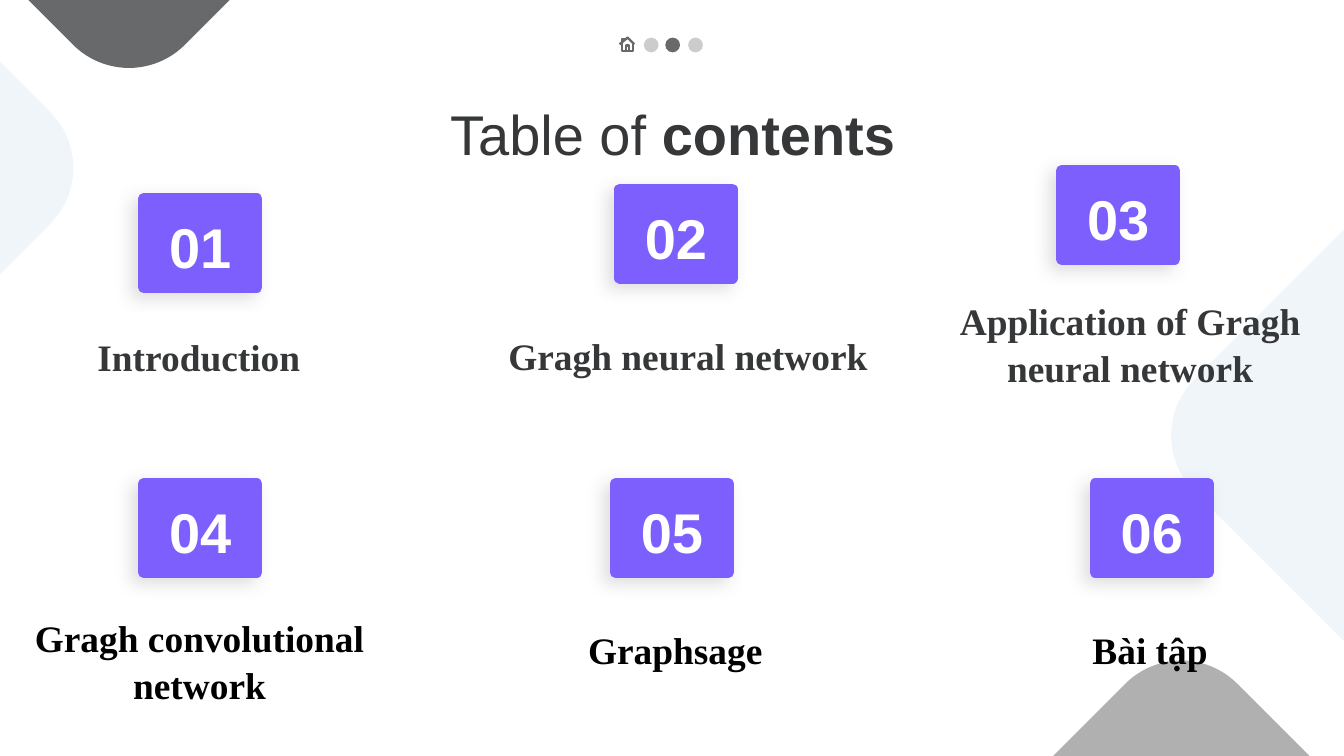
import pptx
import pptx.dml.color
import pptx.enum.shapes
import pptx.enum.text
import pptx.oxml
import pptx.util
from pptx.util import Inches

SHAPE = pptx.enum.shapes.MSO_SHAPE
ANCHOR = pptx.enum.text.MSO_ANCHOR
ALIGN = pptx.enum.text.PP_ALIGN
NS = "http://schemas.openxmlformats.org/drawingml/2006/main"

PURPLE, DARK, GRAY, PALE = "7D5FFE", "67696B", "B0B0B0", "F0F5FA"
INK, BLACK, WHITE = "353738", "000000", "FFFFFF"


def rgb(value):
    return pptx.dml.color.RGBColor.from_string(value)


class Deck:
    """Holds the style and the current slide."""

    heading_font, label_font = "Arial", "Times New Roman"
    heading_size, label_size = 30, 20

    def __init__(self):
        self.prs = pptx.Presentation()
        self.prs.slide_width = Inches(10)
        self.prs.slide_height = Inches(10 * 9 / 16)
        self.s = self.prs.slides.add_slide(self.prs.slide_layouts[6])
        self.s.background.fill.solid()
        self.s.background.fill.fore_color.rgb = rgb(WHITE)

    def append_xml(self, sp, tag_route, xml):
        """Add a DrawingML element below a part of the shape's properties."""
        steps = "/".join(f"{{{NS}}}{tag}" for tag in tag_route.split())
        sp.element.spPr.find(steps).append(pptx.oxml.parse_xml(xml))

    def shape(self, kind, x, y, w, h, color, alpha=None):
        sp = self.s.shapes.add_shape(kind, *map(Inches, (x, y, w, h)))
        sp.shadow.inherit = False
        sp.fill.solid()
        sp.fill.fore_color.rgb = rgb(color)
        sp.line.fill.background()
        if alpha:
            self.append_xml(sp, "solidFill srgbClr",
                            f'<a:alpha xmlns:a="{NS}" val="{alpha * 1000}"/>')
        return sp

    def diamond(self, x, y, color):
        sp = self.shape(SHAPE.ROUNDED_RECTANGLE, x, y, 3.52, 3.52, color)
        sp.adjustments[0] = 0.167
        sp.rotation = 315

    def set_text(self, sp, runs, font, size, color, align, anchor, inset, spacing):
        """Fill a shape with one paragraph; runs are (text, bold) pairs."""
        tf = sp.text_frame
        tf.word_wrap = True
        tf.vertical_anchor = anchor
        tf.margin_left = tf.margin_right = Inches(0.1)
        tf.margin_top = tf.margin_bottom = Inches(inset)
        p = tf.paragraphs[0]
        p.alignment = align
        p.line_spacing = spacing
        for text, bold in runs:
            r = p.add_run()
            r.text = text
            r.font.name, r.font.size = font, pptx.util.Pt(size)
            r.font.bold = bold
            r.font.color.rgb = rgb(color)

    def box(self, x, y, w, h):
        return self.s.shapes.add_textbox(*map(Inches, (x, y, w, h)))

    def title(self, runs, x, y, w, h):
        self.set_text(self.box(x, y, w, h), runs, self.heading_font, self.heading_size,
                      INK, ALIGN.CENTER, ANCHOR.TOP, 0.1, 1.1)

    def number(self, text, x, y):
        sp = self.shape(SHAPE.RECTANGLE, x, y, 0.84, 0.66, PURPLE)
        sp.line.color.rgb = rgb(PURPLE)
        sp.line.width = pptx.util.Pt(6)
        self.append_xml(sp, "ln", f'<a:round xmlns:a="{NS}"/>')
        # Soft shadow towards the lower left
        self.append_xml(
            sp, "effectLst",
            f'<a:outerShdw xmlns:a="{NS}" blurRad="{pptx.util.Pt(9)}" dist="{pptx.util.Pt(4.5)}" '
            f'dir="{140 * 60000}" algn="bl" rotWithShape="0">'
            f'<a:srgbClr val="{GRAY}"><a:alpha val="40000"/></a:srgbClr></a:outerShdw>')
        self.set_text(sp, [(text, True)], self.heading_font, self.heading_size,
                      WHITE, ALIGN.CENTER, ANCHOR.MIDDLE, 0.1, 1.1)

    def label(self, text, x, y, w, h, color=INK, align=ALIGN.CENTER,
              anchor=ANCHOR.BOTTOM, inset=0.1):
        self.set_text(self.box(x, y, w, h), [(text, True)], self.label_font,
                      self.label_size, color, align, anchor, inset, 1.05)

    def outline(self, strokes, color, width):
        """Draw open strokes, each a list of points in inches, as one shape."""
        strokes = [[(Inches(x), Inches(y)) for x, y in points] for points in strokes]
        fb = self.s.shapes.build_freeform(*strokes[0][0])
        for i, (start, *rest) in enumerate(strokes):
            if i:
                fb.move_to(*start)
            fb.add_line_segments(rest, close=False)
        sp = fb.convert_to_shape()
        sp.shadow.inherit = False
        sp.fill.background()
        sp.line.color.rgb = rgb(color)
        sp.line.width = pptx.util.Pt(width)


def main():
    deck = Deck()

    # Background corners
    for x, y, color in [(-0.8, -3.5, DARK), (9.2, 1.48, PALE),
                        (-3.46, -0.51, PALE), (7.03, 5.4, GRAY)]:
        deck.diamond(x, y, color)

    # Title
    deck.title([("Table of ", False), ("contents", True)], 0.79, 0.59, 8.43, 0.69)

    # Navigation: home icon and page dots
    roof = [(4.61, 0.33), (4.67, 0.28), (4.72, 0.33)]
    walls = [(4.63, 0.32), (4.63, 0.38), (4.71, 0.38), (4.71, 0.32)]
    door = [(4.66, 0.38), (4.66, 0.34), (4.68, 0.34), (4.68, 0.38)]
    chimney = [(4.63, 0.31), (4.63, 0.29), (4.65, 0.29)]
    deck.outline([roof, walls, door, chimney], DARK, 1.25)
    for x, color, alpha in [(4.79, GRAY, 64), (4.95, DARK, None), (5.12, GRAY, 64)]:
        deck.shape(SHAPE.OVAL, x, 0.28, 0.11, 0.11, color, alpha)

    # Numbers
    corners = [(1.07, 1.48), (4.61, 1.41), (7.9, 1.27),
               (1.07, 3.6), (4.58, 3.6), (8.15, 3.6)]
    for i, (x, y) in enumerate(corners, 1):
        deck.number(f"{i:02}", x, y)

    # Upper row labels
    for text, x, y in [("Introduction", -0.22, 2.38),
                       ("Gragh neural network", 3.42, 2.37),
                       ("Application of Gragh neural network", 6.71, 2.46)]:
        deck.label(text, x, y, 3.4, 0.54)

    # Lower row labels
    for text, x, y, w, h, align in [
            ("Gragh convolutional network", 0.08, 4.51, 2.81, 1.11, ALIGN.CENTER),
            ("Graphsage", 4.22, 4.6, 1.61, 0.77, ALIGN.CENTER),
            ("Bài tập", 8.03, 4.6, 1.4, 0.77, ALIGN.LEFT)]:
        deck.label(text, x, y, w, h, BLACK, align, ANCHOR.TOP, 0.05)

    deck.prs.save("out.pptx")


if __name__ == "__main__":
    main()
